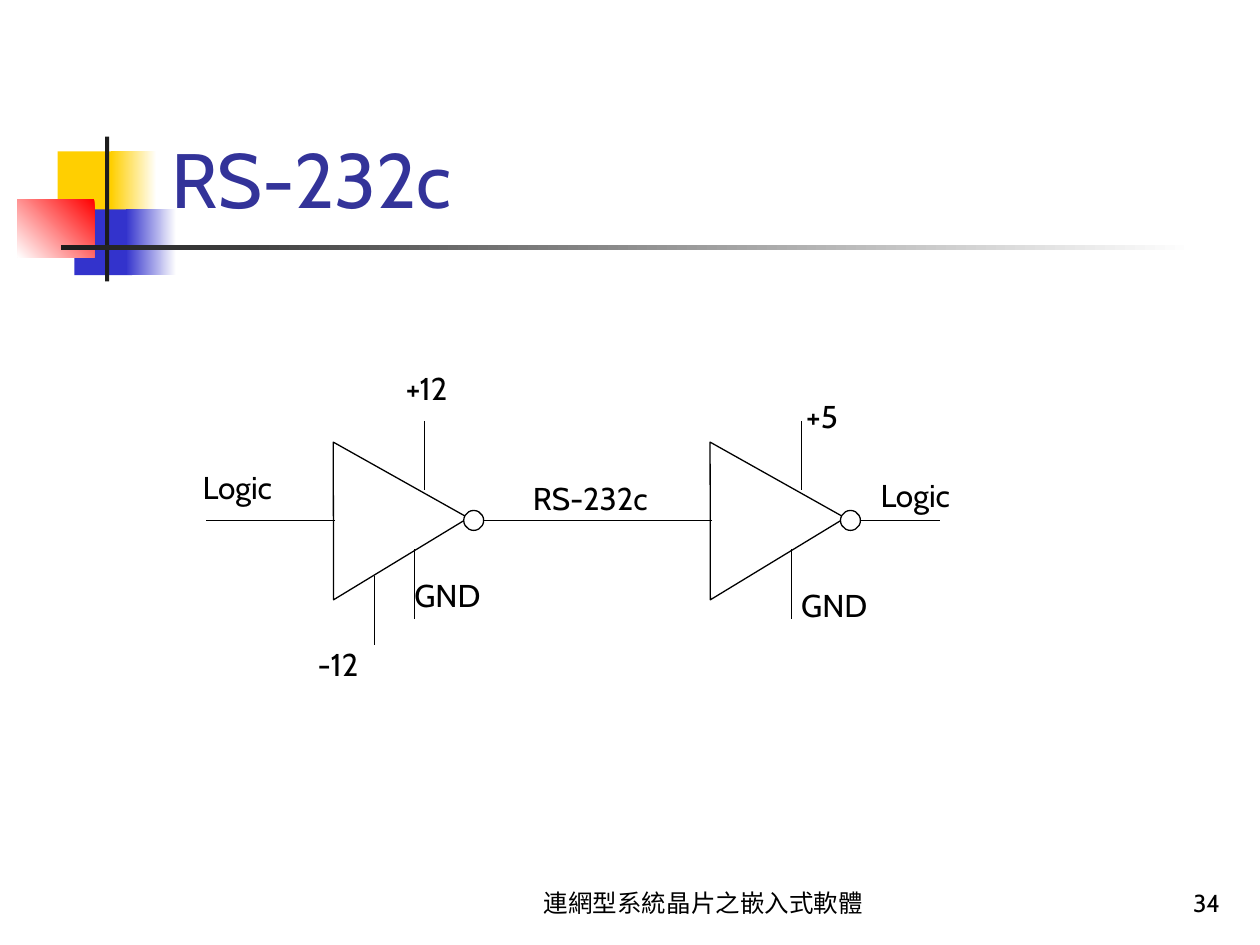
from dataclasses import dataclass

import pptx
import pptx.dml.color
import pptx.enum.shapes
import pptx.enum.text
import pptx.oxml
import pptx.util
from lxml import etree

Pt = pptx.util.Pt
Shapes = pptx.enum.shapes.MSO_SHAPE
Align = pptx.enum.text.PP_ALIGN
Anchor = pptx.enum.text.MSO_ANCHOR
AutoSize = pptx.enum.text.MSO_AUTO_SIZE

COLOURS = {
    "paper": "FFFFFF", "ink": "000000", "title": "333399", "rule": "1C1C1C",
    "yellow": "FFCF01", "blue": "3333CC", "red": "FF0000",
}
FONT = "Cabin"
WIRE_Y = 297.4
STAGE_STEP = 215.3
BUBBLE = 11.4
BUBBLE_LEFT = 265
DRAWING_NS = "http://schemas.openxmlformats.org/drawingml/2006/main"


@dataclass
class Block:
    left: float
    top: float
    width: float
    height: float
    start: str
    end: str = ""
    angle: float = 180


@dataclass
class Wire:
    x1: float
    y1: float
    x2: float
    y2: float


@dataclass
class Label:
    text: str
    left: float
    top: float
    width: float
    height: float = 28.8
    size: float = 18
    align: Align = Align.LEFT
    anchor: Anchor = Anchor.TOP
    wrap: bool = False


def rgb(name: str) -> pptx.dml.color.RGBColor:
    return pptx.dml.color.RGBColor.from_string(COLOURS[name])


def apply(target, values: dict) -> None:
    for attribute, value in values.items():
        setattr(target, attribute, value)


def format_text(frame, text: str, size: float, colour: str,
                align: Align, frame_format: dict) -> None:
    frame.text = text
    apply(frame, frame_format)
    paragraph = frame.paragraphs[0]
    paragraph.alignment = align
    apply(paragraph.font, {"name": FONT, "size": Pt(size), "bold": False})
    paragraph.font.color.rgb = rgb(colour)


def draw_block(slide, block: Block) -> None:
    shape = slide.shapes.add_shape(
        Shapes.RECTANGLE, Pt(block.left), Pt(block.top), Pt(block.width), Pt(block.height))
    shape.shadow.inherit = False
    shape.line.fill.background()
    if not block.end:
        shape.fill.solid()
        shape.fill.fore_color.rgb = rgb(block.start)
        return
    shape.fill.gradient()
    shape.fill.gradient_angle = block.angle
    for stop, colour in zip(shape.fill.gradient_stops, (block.start, block.end)):
        stop.color.rgb = rgb(colour)


def draw_outline(slide, kind: Shapes, left: float, top: float,
                 width: float, height: float, rotation: float = 0) -> None:
    shape = slide.shapes.add_shape(kind, Pt(left), Pt(top), Pt(width), Pt(height))
    shape.rotation = rotation
    shape.shadow.inherit = False
    shape.fill.solid()
    shape.fill.fore_color.rgb = rgb("paper")
    shape.line.color.rgb = rgb("ink")
    shape.line.width = Pt(0.75)


def draw_wire(slide, wire: Wire) -> None:
    line = slide.shapes.add_connector(
        pptx.enum.shapes.MSO_CONNECTOR.STRAIGHT,
        Pt(wire.x1), Pt(wire.y1), Pt(wire.x2), Pt(wire.y2))
    line.line.color.rgb = rgb("ink")
    line.line.width = Pt(0.75)
    etree.SubElement(line._element.spPr, f"{{{DRAWING_NS}}}effectLst")


def draw_label(slide, label: Label) -> None:
    box = slide.shapes.add_textbox(
        Pt(label.left), Pt(label.top), Pt(label.width), Pt(label.height))
    format_text(box.text_frame, label.text, label.size, "ink", label.align, {
        "word_wrap": label.wrap,
        "auto_size": AutoSize.NONE if label.wrap else AutoSize.SHAPE_TO_FIT_TEXT,
        "vertical_anchor": label.anchor,
    })


def draw_inverter(slide, shift: float) -> None:
    """Draw a gate with its bubble, ground pin and positive supply pin."""
    draw_outline(slide, Shapes.FLOWCHART_MERGE, 165.6 + shift, 269.3, 88.5, 78.5, 29.3)
    draw_outline(slide, Shapes.OVAL, BUBBLE_LEFT + shift, WIRE_Y - BUBBLE / 2, BUBBLE, BUBBLE)
    ground, supply = 236.9 + shift, 242.6 + shift
    draw_wire(slide, Wire(ground, 314, ground, 353.5))
    draw_wire(slide, Wire(supply, 240.5, supply, 280))


def main() -> None:
    deck = pptx.Presentation()
    apply(deck, {"slide_width": Pt(720), "slide_height": Pt(540)})
    slide = deck.slides.add_slide(deck.slide_layouts[5])

    # Title
    title = slide.shapes.title
    apply(title, {"left": Pt(90.7), "top": Pt(16.6), "width": Pt(613.4), "height": Pt(115.2)})
    format_text(title.text_frame, "RS-232c", 44, "title", Align.LEFT, {
        "word_wrap": True, "auto_size": AutoSize.NONE, "vertical_anchor": Anchor.BOTTOM})

    # Corner ornament and title rule
    for block in (
        Block(33, 86.5, 34.5, 37.5, "yellow"),
        Block(63.5, 86.5, 26, 37.5, "paper", "yellow"),
        Block(42.5, 119.7, 33, 37.5, "blue"),
        Block(72, 119.7, 28.8, 37.5, "paper", "blue"),
        Block(10, 113.8, 44, 33.2, "red", "paper", 225),
        Block(60, 78, 2.4, 82.8, "rule"),
        Block(34.6, 140.2, 648, 2.4, "paper", "rule"),
    ):
        draw_block(slide, block)

    # Driver and receiver gates
    for stage in range(2):
        draw_inverter(slide, stage * STAGE_STEP)

    # Signal wires and the negative supply pin
    driver_out = BUBBLE_LEFT + BUBBLE
    gate_in = 191.3
    for wire in (
        Wire(118, WIRE_Y, gate_in, WIRE_Y),
        Wire(driver_out, WIRE_Y, gate_in + STAGE_STEP, WIRE_Y),
        Wire(driver_out + STAGE_STEP, WIRE_Y, 537, WIRE_Y),
        Wire(213.9, 329, 213.9, 368.5),
    ):
        draw_wire(slide, wire)

    # Signal and supply labels, footer and page number
    for label in (
        Label("Logic", 108.7, 264.2, 59),
        Label("Logic", 496.1, 268.6, 59),
        Label("RS-232c", 297.4, 270, 80.6),
        Label("+12", 224.9, 207.4, 45.4),
        Label("-12", 174.5, 365, 40.3),
        Label("GND", 229.7, 325.4, 54),
        Label("GND", 450.7, 331.2, 54),
        Label("+5", 453.6, 223.2, 34.6),
        Label("連網型系統晶片之嵌入式軟體", 288, 492, 228, 36, 14,
              Align.CENTER, Anchor.BOTTOM, True),
        Label("34", 554.4, 492, 150, 36, 14, Align.RIGHT, Anchor.BOTTOM, True),
    ):
        draw_label(slide, label)

    deck.save("out.pptx")


if __name__ == "__main__":
    main()
